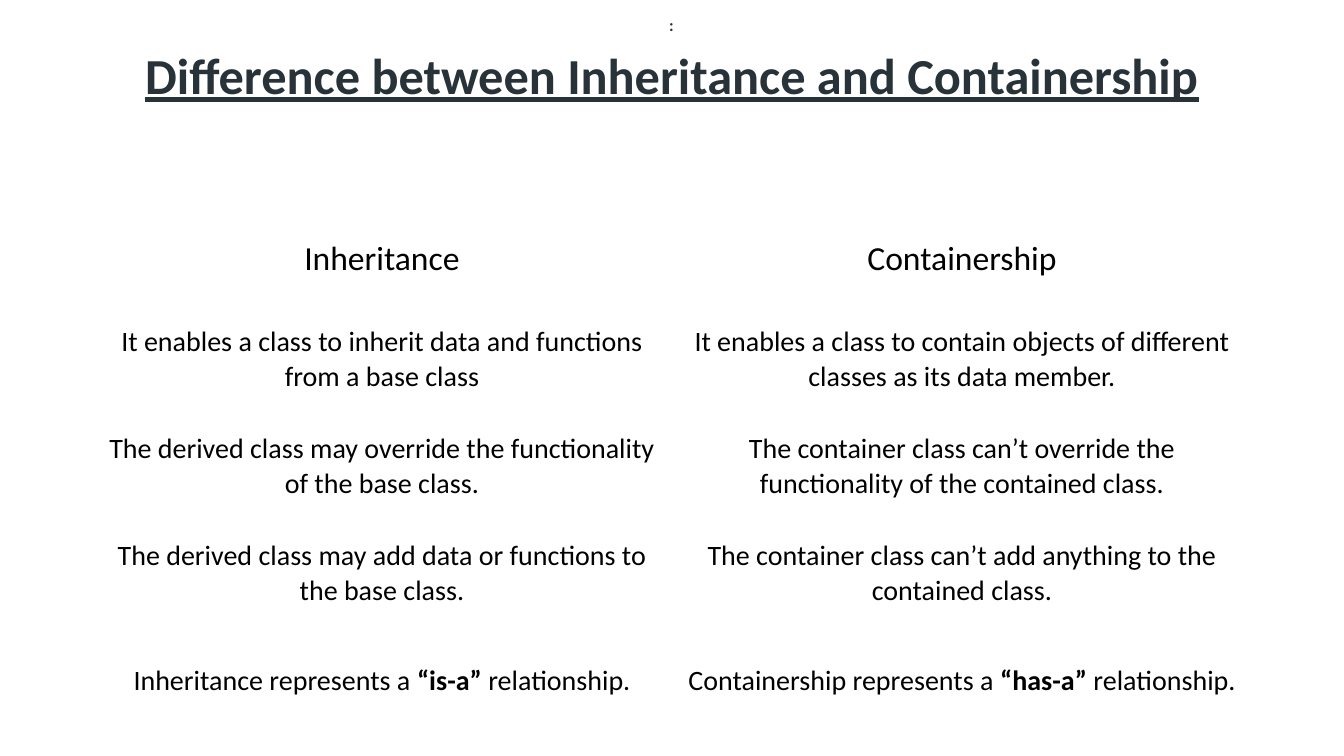
from dataclasses import dataclass
from typing import NamedTuple

from pptx import Presentation
from pptx.dml.color import RGBColor
from pptx.enum.shapes import MSO_SHAPE
from pptx.enum.text import MSO_ANCHOR, MSO_AUTO_SIZE, PP_ALIGN
from pptx.util import Emu, Pt


@dataclass(frozen=True)
class Theme:
    """Colours, font and type sizes of the slide."""
    font: str = "Calibri"
    ink: RGBColor = RGBColor(0x27, 0x32, 0x39)
    text: RGBColor = RGBColor(0, 0, 0)
    paper: RGBColor = RGBColor(255, 255, 255)
    title: int = 36
    heading: int = 24
    body: int = 20
    mark: int = 12


class Box(NamedTuple):
    """Left, top, width and height in pixels."""
    left: int
    top: int
    width: int
    height: int


class Comparison(NamedTuple):
    """One table row; asterisks enclose bold words."""
    inheritance: str
    containership: str


THEME = Theme()
SLIDE = Box(0, 0, 1344, 756)
TITLE = Box(92, 40, 1160, 146)
TABLE = Box(92, 212, 1160, 522)
COLON = Box(669, 15, 5, 20)
HEADING_HEIGHT, ROW_HEIGHT = 94, 107
ROWS = [
    Comparison("Inheritance", "Containership"),
    Comparison("It enables a class to inherit data and functions from a base class",
               "It enables a class to contain objects of different classes as its data member."),
    Comparison("The derived class may override the functionality of the base class.",
               "The container class can’t override the functionality of the contained class."),
    Comparison("The derived class may add data or functions to the base class.",
               "The container class can’t add anything to the contained class."),
    Comparison("Inheritance represents a\u00a0*“is-a”*\u00a0relationship.",
               "Containership represents a\u00a0*“has-a”*\u00a0relationship."),
]


def px(n: int) -> Emu:
    """Turn pixels into EMU."""
    return Emu(round(n * 914400 / 100.8))


def place(box: Box) -> tuple:
    """Turn a pixel box into EMU lengths."""
    return tuple(px(n) for n in box)


def style(p, size: int, color: RGBColor, bold: bool = False) -> None:
    """Centre a paragraph and set its font."""
    p.alignment = PP_ALIGN.CENTER
    p.font.name, p.font.size, p.font.bold = THEME.font, Pt(size), bold
    p.font.color.rgb = color


def add_title(slide) -> None:
    """Fill and place the title placeholder."""
    sp = slide.shapes.title
    sp.left, sp.top, sp.width, sp.height = place(TITLE)
    tf = sp.text_frame
    tf.text = "Difference between Inheritance and Containership"
    tf.auto_size, tf.vertical_anchor = MSO_AUTO_SIZE.NONE, MSO_ANCHOR.TOP
    tf.margin_top = px(11)
    p = tf.paragraphs[0]
    style(p, THEME.title, THEME.ink, bold=True)
    p.font.underline, p.line_spacing = True, 0.9


def fill_cell(cell, text: str, size: int, margin: int) -> None:
    """Write centred text in a clear cell, with marked words bold."""
    cell.fill.background()
    cell.vertical_anchor = MSO_ANCHOR.MIDDLE
    cell.margin_left = cell.margin_right = px(10)
    cell.margin_top = cell.margin_bottom = px(margin)
    p = cell.text_frame.paragraphs[0]
    style(p, size, THEME.text)
    for i, part in enumerate(text.split("*")):
        r = p.add_run()
        r.text = part
        if i % 2:
            r.font.bold = True


def add_comparison(slide) -> None:
    """Draw the two-column comparison table."""
    table = slide.shapes.add_table(len(ROWS), 2, *place(TABLE)).table
    table.first_row = table.horz_banding = False
    for i, comparison in enumerate(ROWS):
        height, size, margin = ((ROW_HEIGHT, THEME.body, 15) if i
                                else (HEADING_HEIGHT, THEME.heading, 10))
        table.rows[i].height = px(height)
        for j, text in enumerate(comparison):
            fill_cell(table.cell(i, j), text, size, margin)


def add_colon(slide) -> None:
    """Draw the small colon above the title."""
    sp = slide.shapes.add_shape(MSO_SHAPE.RECTANGLE, *place(COLON))
    sp.shadow.inherit = False
    sp.fill.solid()
    sp.fill.fore_color.rgb = THEME.paper
    sp.line.fill.background()
    tf = sp.text_frame
    tf.text = ":"
    tf.word_wrap, tf.auto_size = False, MSO_AUTO_SIZE.SHAPE_TO_FIT_TEXT
    tf.vertical_anchor = MSO_ANCHOR.MIDDLE
    tf.margin_left = tf.margin_right = tf.margin_top = tf.margin_bottom = 0
    style(tf.paragraphs[0], THEME.mark, THEME.ink, bold=True)


prs = Presentation()
prs.slide_width, prs.slide_height = px(SLIDE.width), px(SLIDE.height)
slide = prs.slides.add_slide(prs.slide_layouts[5])
add_title(slide)
add_comparison(slide)
add_colon(slide)
prs.save("out.pptx")
